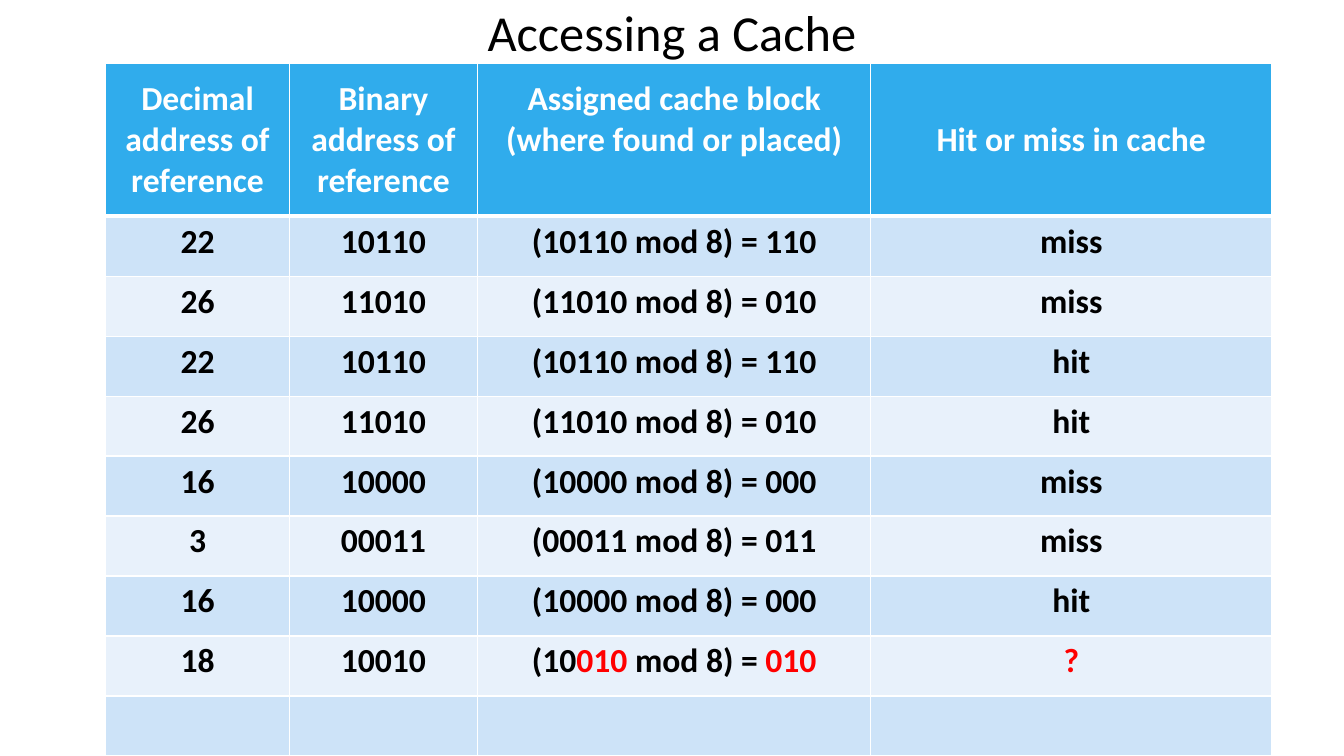
"""Build a slide with a table of cache references that hit or miss."""
from dataclasses import dataclass

import lxml.etree
import pptx
import pptx.dml.color
import pptx.enum.text
import pptx.oxml.ns
import pptx.table
import pptx.text.text
import pptx.util

EMU_PER_PX = 4572
SLIDE_WIDTH, SLIDE_HEIGHT = 2667, 1500
TITLE_HEIGHT = 126
TABLE_LEFT = 210
COLUMN_WIDTHS = (364, 374, 780, 796)
HEADER_HEIGHT, ROW_HEIGHT = 303, 119
RAISED_HEADER_COLUMN, RAISED_HEADER_MARGIN = 2, 92
CACHE_BLOCKS = 8


@dataclass(frozen=True)
class Theme:
    font: str = "Calibri"
    title_size: int = 36
    table_size: int = 24
    text: str = "000000"
    header_text: str = "FFFFFF"
    highlight: str = "FF0000"
    header_fill: str = "30ACEC"
    band_fills: tuple[str, str] = ("CDE3F8", "E8F1FB")
    border: str = "FFFFFF"
    thin_border: int = 1
    thick_border: int = 3


@dataclass(frozen=True)
class Span:
    text: str
    color: str


@dataclass(frozen=True)
class Reference:
    address: int
    result: str
    highlighted: bool = False


THEME = Theme()
HEADERS = (
    "Decimal address of reference",
    "Binary address of reference",
    "Assigned cache block (where found or placed)",
    "Hit or miss in cache",
)
REFERENCES = (
    Reference(22, "miss"),
    Reference(26, "miss"),
    Reference(22, "hit"),
    Reference(26, "hit"),
    Reference(16, "miss"),
    Reference(3, "miss"),
    Reference(16, "hit"),
    Reference(18, "?", highlighted=True),
)


def px(length: int) -> pptx.util.Emu:
    """Turn whole pixels into EMU."""
    return pptx.util.Emu(length * EMU_PER_PX)


def rgb(color: str) -> pptx.dml.color.RGBColor:
    """Turn a hex string into a colour."""
    return pptx.dml.color.RGBColor.from_string(color)


def write(para: pptx.text.text._Paragraph, spans: list[Span], size: int, bold: bool) -> None:
    """Fill a centred paragraph with coloured spans."""
    para.alignment = pptx.enum.text.PP_ALIGN.CENTER
    para.font.name = THEME.font
    para.font.size = pptx.util.Pt(size)
    para.font.bold = bold
    for span in spans:
        run = para.add_run()
        run.text = span.text
        run.font.color.rgb = rgb(span.color)


def add_border(cell: pptx.table._Cell, side: str, width: int) -> None:
    """Draw one edge of a cell."""
    qn = pptx.oxml.ns.qn
    properties = cell._tc.get_or_add_tcPr()
    line = lxml.etree.SubElement(properties, qn(f"a:ln{side}"), w=str(pptx.util.Pt(width)))
    fill = lxml.etree.SubElement(line, qn("a:solidFill"))
    lxml.etree.SubElement(fill, qn("a:srgbClr"), val=THEME.border)


def reference_cells(reference: Reference) -> list[list[Span]]:
    """Work out the four cells of one reference."""
    binary = f"{reference.address:05b}"
    block = f"{reference.address % CACHE_BLOCKS:03b}"
    color = THEME.highlight if reference.highlighted else THEME.text
    if reference.highlighted:
        mapping = [
            Span(f"({binary[:2]}", THEME.text),
            Span(binary[2:], color),
            Span(f" mod {CACHE_BLOCKS}) = ", THEME.text),
            Span(block, color),
        ]
    else:
        mapping = [Span(f"({binary} mod {CACHE_BLOCKS}) = {block}", color)]
    return [
        [Span(str(reference.address), THEME.text)],
        [Span(binary, THEME.text)],
        mapping,
        [Span(reference.result, color)],
    ]


def draw_cell(cell: pptx.table._Cell, spans: list[Span], row: int) -> None:
    """Write and format one table cell."""
    is_header = row == 0
    write(cell.text_frame.paragraphs[0], spans, THEME.table_size, True)
    if is_header:
        cell.vertical_anchor = pptx.enum.text.MSO_ANCHOR.MIDDLE
    for side in "LRTB":
        is_divider = (row, side) in ((0, "B"), (1, "T"))
        add_border(cell, side, THEME.thick_border if is_divider else THEME.thin_border)
    cell.fill.solid()
    cell.fill.fore_color.rgb = rgb(THEME.header_fill if is_header else THEME.band_fills[(row - 1) % 2])


def main() -> None:
    """Build and save the deck."""
    deck = pptx.Presentation()
    deck.slide_width, deck.slide_height = px(SLIDE_WIDTH), px(SLIDE_HEIGHT)
    page = deck.slides.add_slide(deck.slide_layouts.get_by_name("Title Only"))

    title = page.shapes.title
    title.left, title.top = px(0), px(0)
    title.width, title.height = px(SLIDE_WIDTH), px(TITLE_HEIGHT)
    title.text_frame.vertical_anchor = pptx.enum.text.MSO_ANCHOR.MIDDLE
    heading = [Span("Accessing a Cache", THEME.text)]
    write(title.text_frame.paragraphs[0], heading, THEME.title_size, False)

    rows = [[[Span(header, THEME.header_text)] for header in HEADERS]]
    rows += [reference_cells(reference) for reference in REFERENCES]
    rows.append([[] for _ in HEADERS])
    heights = [HEADER_HEIGHT] + [ROW_HEIGHT] * (len(rows) - 1)
    table = page.shapes.add_table(
        len(rows), len(HEADERS), px(TABLE_LEFT), px(TITLE_HEIGHT),
        px(sum(COLUMN_WIDTHS)), px(sum(heights)),
    ).table
    for column, width in zip(table.columns, COLUMN_WIDTHS):
        column.width = px(width)
    for row, (cells, height) in enumerate(zip(rows, heights)):
        table.rows[row].height = px(height)
        for column, spans in enumerate(cells):
            draw_cell(table.cell(row, column), spans, row)
    table.cell(0, RAISED_HEADER_COLUMN).margin_bottom = px(RAISED_HEADER_MARGIN)

    deck.save("out.pptx")


if __name__ == "__main__":
    main()
